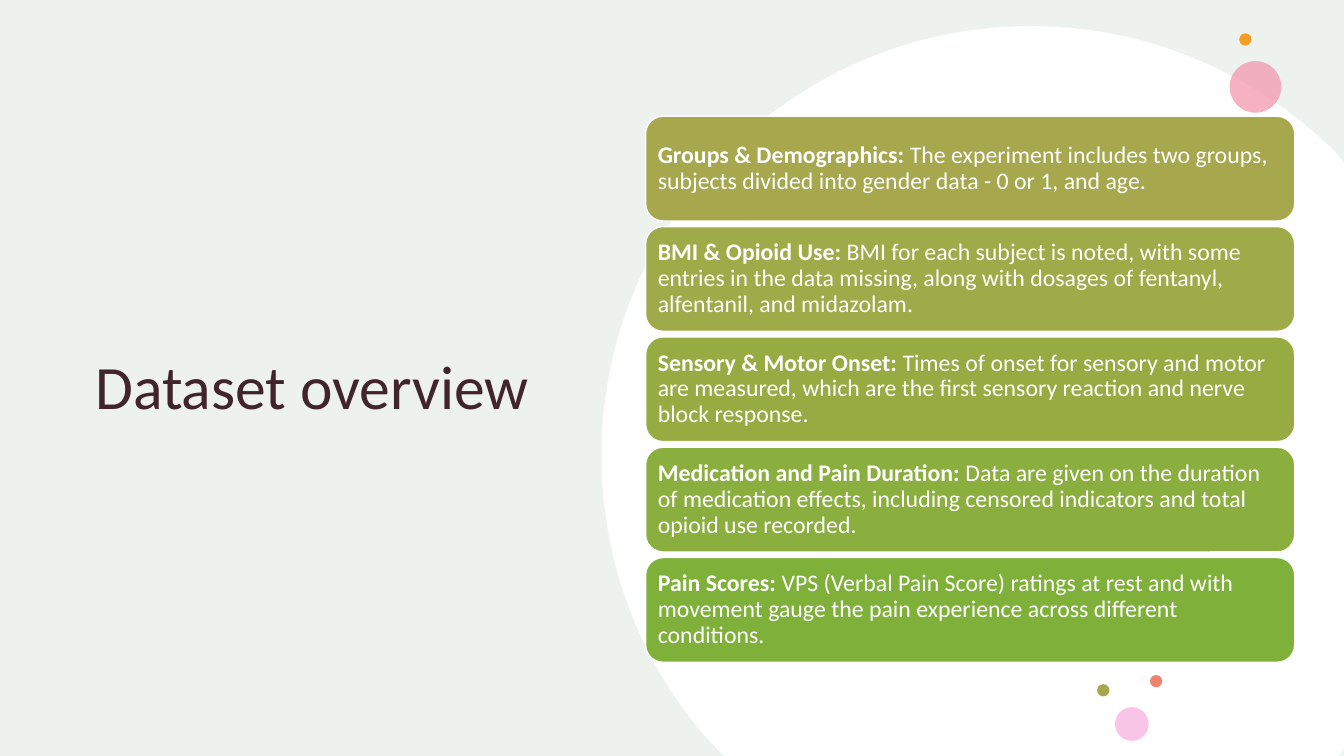
from dataclasses import dataclass

from lxml.etree import SubElement
from pptx import Presentation
from pptx.dml.color import RGBColor
from pptx.enum.shapes import MSO_SHAPE
from pptx.enum.text import MSO_ANCHOR, PP_ALIGN
from pptx.oxml.ns import qn
from pptx.shapes.autoshape import Shape
from pptx.slide import Slide
from pptx.text.text import TextFrame, _Paragraph as Paragraph
from pptx.util import Cm, Pt

COLORS = {
    "tint": "C8D4CC",
    "white": "FFFFFF",
    "title": "41242C",
    "rose": "F395AC",
    "orange": "F39E29",
    "coral": "EE836E",
    "pink": "F8C5E7",
    "olive": "A7A74D",
}
FONT = "Calibri"

# Lengths in centimetres
SLIDE_WIDTH, SLIDE_HEIGHT = 33.87, 19.05
CARD_LEFT, CARD_TOP, CARD_WIDTH, CARD_HEIGHT = 16.27, 2.93, 16.36, 2.64
CARD_PITCH = 2.78
CARD_INSET = 0.18

# Disc outline: one point is a straight line, three points are a Bézier curve
DISC_START = (25.98, 0.66)
DISC_SEGMENTS = [
    [(28.98, 0.66), (31.67, 1.88), (33.66, 3.84)],
    [(SLIDE_WIDTH, 4.09)],
    [(SLIDE_WIDTH, 18.9)],
    [(33.73, SLIDE_HEIGHT)],
    [(18.24, SLIDE_HEIGHT)],
    [(17.63, 18.39)],
    [(16.08, 16.51), (15.16, 14.1), (15.16, 11.48)],
    [(15.16, 5.51), (20.01, 0.66), DISC_START],
]


@dataclass(frozen=True)
class Dot:
    left: float
    top: float
    size: float
    color: str
    opacity: int = 100


@dataclass(frozen=True)
class Card:
    heading: str
    detail: str
    fill: str


DOTS = [
    Dot(30.99, 1.54, 1.3, "rose", 72),
    Dot(31.23, 0.84, 0.31, "orange"),
    Dot(28.98, 17.01, 0.31, "coral"),
    Dot(28.1, 17.82, 0.85, "pink"),
    Dot(27.65, 17.24, 0.31, "olive"),
]

CARDS = [
    Card("Groups & Demographics: ",
         "The experiment includes two groups, subjects divided into "
         "gender data - 0 or 1, and age.", "A7A74D"),
    Card("BMI & Opioid Use: ",
         "BMI for each subject is noted, with some entries in the data missing, "
         "along with dosages of fentanyl, alfentanil, and midazolam.", "9FAA48"),
    Card("Sensory & Motor Onset: ",
         "Times of onset for sensory and motor are measured, which are the "
         "first sensory reaction and nerve block response.", "96AC43"),
    Card("Medication and Pain Duration: ",
         "Data are given on the duration of medication effects, including "
         "censored indicators and total opioid use recorded.", "8BAF3F"),
    Card("Pain Scores: ",
         "VPS (Verbal Pain Score) ratings at rest and with movement gauge the "
         "pain experience across different conditions.", "7FB13A"),
]


def paint(shape: Shape, color: str, opacity: int = 100) -> None:
    shape.shadow.inherit = False
    shape.line.fill.background()
    shape.fill.solid()
    shape.fill.fore_color.rgb = RGBColor.from_string(color)
    if opacity < 100:
        color_element = shape._element.spPr.find(qn("a:solidFill"))[0]
        SubElement(color_element, qn("a:alpha"), val=str(opacity * 1000))


def add_filled(slide: Slide, kind: MSO_SHAPE, left: float, top: float,
               width: float, height: float, color: str, opacity: int = 100) -> Shape:
    shape = slide.shapes.add_shape(kind, Cm(left), Cm(top), Cm(width), Cm(height))
    paint(shape, color, opacity)
    return shape


def first_paragraph(frame: TextFrame) -> Paragraph:
    frame.word_wrap = True
    frame.vertical_anchor = MSO_ANCHOR.MIDDLE
    paragraph = frame.paragraphs[0]
    paragraph.alignment = PP_ALIGN.LEFT
    paragraph.line_spacing = 0.9
    return paragraph


def add_run(paragraph: Paragraph, text: str, size: int, color: str,
            bold: bool = False) -> None:
    run = paragraph.add_run()
    run.text = text
    run.font.name = FONT
    run.font.size = Pt(size)
    run.font.bold = bold
    run.font.color.rgb = RGBColor.from_string(color)


def add_title(slide: Slide, text: str) -> None:
    box = slide.shapes.add_textbox(Cm(2.15), Cm(2.64), Cm(12.8), Cm(14.33))
    add_run(first_paragraph(box.text_frame), text, 44, COLORS["title"])


def add_disc(slide: Slide) -> None:
    """Draw the large white circle, cut off at the slide edges."""
    points = [(Cm(x), Cm(y)) for segment in DISC_SEGMENTS for x, y in segment]
    builder = slide.shapes.build_freeform(Cm(DISC_START[0]), Cm(DISC_START[1]))
    builder.add_line_segments(points, close=True)
    shape = builder.convert_to_shape()
    paint(shape, COLORS["white"])

    # Join each run of three points into a curve
    lines = iter(list(shape._element.iter(qn("a:lnTo"))))
    for segment in DISC_SEGMENTS:
        first, *others = [next(lines) for _ in segment]
        if others:
            first.tag = qn("a:cubicBezTo")
            for line in others:
                first.append(line[0])
                line.getparent().remove(line)


def add_card(slide: Slide, card: Card, top: float) -> None:
    shape = add_filled(slide, MSO_SHAPE.ROUNDED_RECTANGLE, CARD_LEFT, top,
                       CARD_WIDTH, CARD_HEIGHT, card.fill)
    shape.line.color.rgb = RGBColor.from_string(COLORS["white"])
    shape.line.width = Pt(1)
    frame = shape.text_frame
    frame.margin_left = frame.margin_right = Cm(CARD_INSET)
    frame.margin_top = frame.margin_bottom = Cm(CARD_INSET)
    paragraph = first_paragraph(frame)
    add_run(paragraph, card.heading, 17, COLORS["white"], bold=True)
    add_run(paragraph, card.detail, 17, COLORS["white"])


def main() -> None:
    presentation = Presentation()
    presentation.slide_width = Cm(SLIDE_WIDTH)
    presentation.slide_height = Cm(SLIDE_HEIGHT)
    slide = presentation.slides.add_slide(presentation.slide_layouts[6])

    # Background tint and title
    add_filled(slide, MSO_SHAPE.RECTANGLE, 0, 0, SLIDE_WIDTH, SLIDE_HEIGHT,
               COLORS["tint"], 30)
    add_title(slide, "Dataset overview")

    # Decoration
    add_disc(slide)
    for dot in DOTS:
        add_filled(slide, MSO_SHAPE.OVAL, dot.left, dot.top, dot.size, dot.size,
                   COLORS[dot.color], dot.opacity)

    # Dataset cards
    for index, card in enumerate(CARDS):
        add_card(slide, card, CARD_TOP + index * CARD_PITCH)

    presentation.save("out.pptx")


if __name__ == "__main__":
    main()
